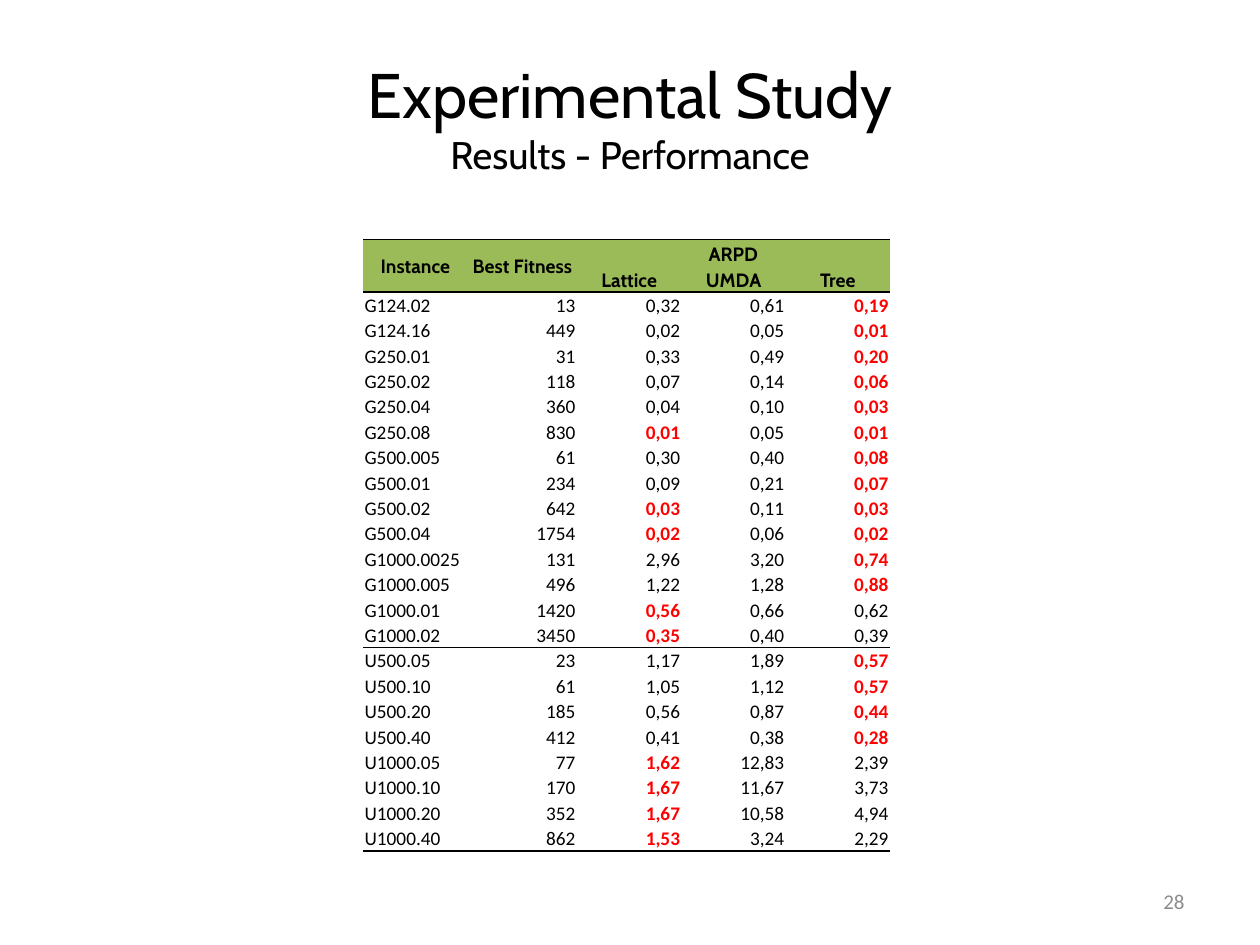
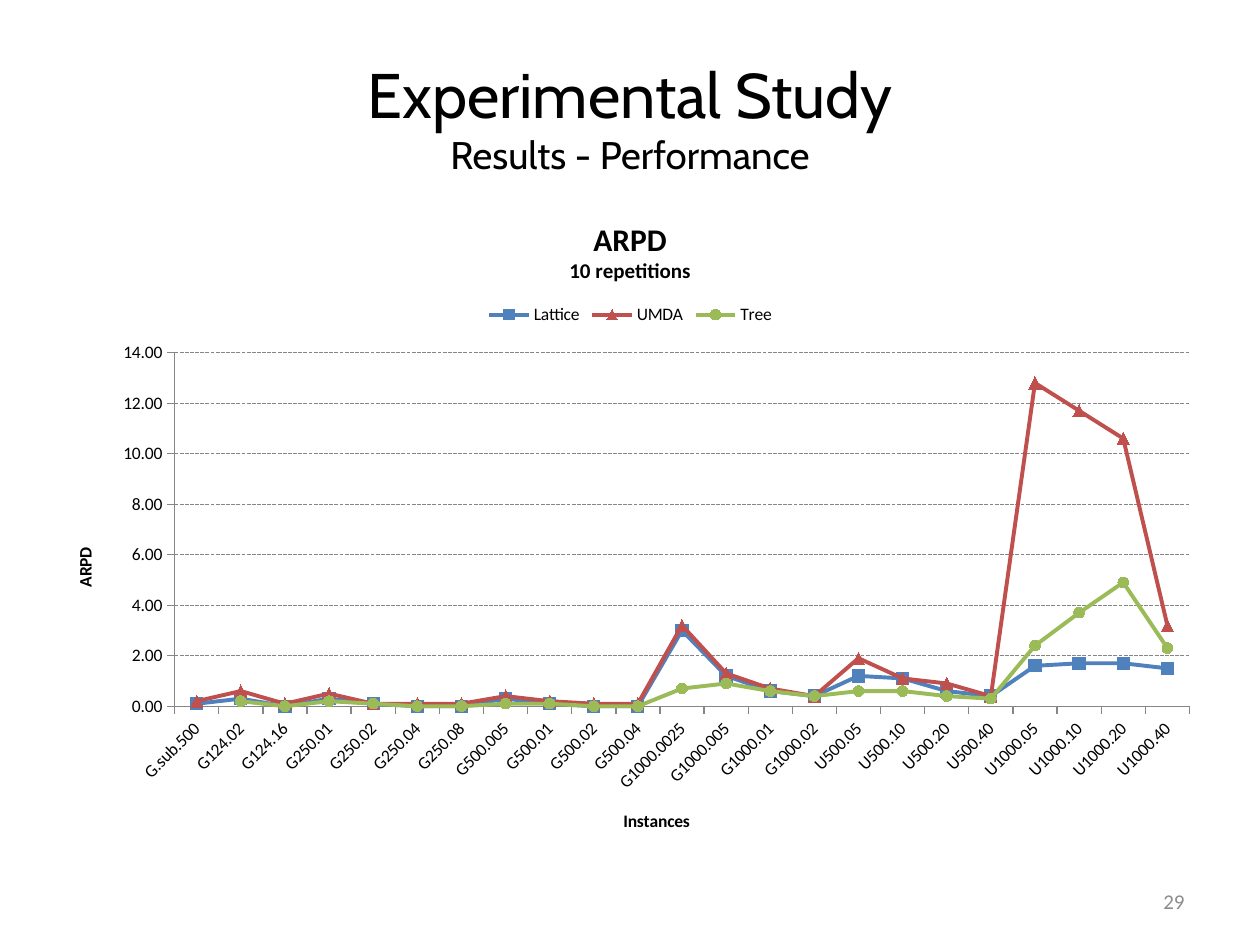
from pptx import Presentation
from pptx import util as u
from pptx.chart.data import CategoryChartData
from pptx.dml.color import RGBColor
from pptx.enum import chart as ch
from pptx.enum import dml, text
from pptx.oxml import parse_xml
from pptx.oxml.ns import nsdecls, qn

BLACK = RGBColor(0x00, 0x00, 0x00)
RED = RGBColor(0xFF, 0x00, 0x00)
BLUE = RGBColor(0x4F, 0x81, 0xBD)
BRICK = RGBColor(0xC0, 0x50, 0x4D)
GREEN = RGBColor(0x9B, 0xBB, 0x59)
AXIS_GRAY = RGBColor(0x86, 0x86, 0x86)
NUMBER_GRAY = RGBColor(0x8C, 0x8C, 0x8C)

HEADING_FONT, BODY_FONT = "Cabin", "Calibri"
PLAIN_TABLE_STYLE = "{2D5ABB26-0587-4C30-8999-92F81FD0307C}"
ALGORITHMS = ("Lattice", "UMDA", "Tree")
MARKERS = (
    (BLUE, ch.XL_MARKER_STYLE.SQUARE, 7),
    (BRICK, ch.XL_MARKER_STYLE.TRIANGLE, 7),
    (GREEN, ch.XL_MARKER_STYLE.CIRCLE, 6),
)

# Instance, best fitness, then the ARPD of each algorithm
RESULTS = (
    ("G124.02", 13, 0.32, 0.61, 0.19),
    ("G124.16", 449, 0.02, 0.05, 0.01),
    ("G250.01", 31, 0.33, 0.49, 0.20),
    ("G250.02", 118, 0.07, 0.14, 0.06),
    ("G250.04", 360, 0.04, 0.10, 0.03),
    ("G250.08", 830, 0.01, 0.05, 0.01),
    ("G500.005", 61, 0.30, 0.40, 0.08),
    ("G500.01", 234, 0.09, 0.21, 0.07),
    ("G500.02", 642, 0.03, 0.11, 0.03),
    ("G500.04", 1754, 0.02, 0.06, 0.02),
    ("G1000.0025", 131, 2.96, 3.20, 0.74),
    ("G1000.005", 496, 1.22, 1.28, 0.88),
    ("G1000.01", 1420, 0.56, 0.66, 0.62),
    ("G1000.02", 3450, 0.35, 0.40, 0.39),
    ("U500.05", 23, 1.17, 1.89, 0.57),
    ("U500.10", 61, 1.05, 1.12, 0.57),
    ("U500.20", 185, 0.56, 0.87, 0.44),
    ("U500.40", 412, 0.41, 0.38, 0.28),
    ("U1000.05", 77, 1.62, 12.83, 2.39),
    ("U1000.10", 170, 1.67, 11.67, 3.73),
    ("U1000.20", 352, 1.67, 10.58, 4.94),
    ("U1000.40", 862, 1.53, 3.24, 2.29),
)
CHART_ONLY = ("G.sub.500", None, 0.1, 0.2, None)
HEADER_ROWS = 2
HEADER_HEIGHT, BODY_HEIGHT = 1.06, 11.28
CHART_WIDTH, CHART_HEIGHT = 23.5, 13.34


def set_all(target, **formats):
    for name, value in formats.items():
        setattr(target, name, value)


def set_font(font, size, color=BLACK, name=BODY_FONT, bold=False):
    set_all(font, size=u.Pt(size), name=name, bold=bold)
    font.color.rgb = color


def add_text(slide, box, lines, align, color=BLACK, name=BODY_FONT):
    """Put (wording, size) lines into one paragraph, centred vertically."""
    frame = slide.shapes.add_textbox(*map(u.Cm, box)).text_frame
    set_all(frame, word_wrap=True, vertical_anchor=text.MSO_ANCHOR.MIDDLE)
    paragraph = frame.paragraphs[0]
    paragraph.alignment = align
    for index, (wording, size) in enumerate(lines):
        if index:
            paragraph.add_line_break()
        run = paragraph.add_run()
        run.text = wording
        set_font(run.font, size, color, name)


def add_results_slide(deck, number):
    slide = deck.slides.add_slide(deck.slide_layouts[6])
    add_text(slide, (1.27, 0.76, 22.86, 3.18),
             (("Experimental Study", 36), ("Results - Performance", 22)),
             text.PP_ALIGN.CENTER, name=HEADING_FONT)
    add_text(slide, (18.2, 17.66, 5.93, 1.01), ((str(number), 12),),
             text.PP_ALIGN.RIGHT, NUMBER_GRAY)
    return slide


def fill_cell(cell, wording, align, anchor=text.MSO_ANCHOR.BOTTOM, **font):
    set_all(cell, margin_left=u.Cm(0.03), margin_right=u.Cm(0.03),
            margin_top=u.Cm(0.03), margin_bottom=0, vertical_anchor=anchor)
    paragraph = cell.text_frame.paragraphs[0]
    paragraph.alignment = align
    run = paragraph.add_run()
    run.text = wording
    set_font(run.font, 11, **font)


def draw_rules(table, rules):
    """Draw lines above the rows that rules maps to a width in points."""
    for row in range(len(table.rows)):
        for cell in table.rows[row].cells:
            below = row + (cell.span_height if cell.is_merge_origin else 1)
            borders = cell._tc.get_or_add_tcPr()
            for index, (side, edge) in enumerate((("lnT", row), ("lnB", below))):
                paint = (f'<a:solidFill><a:srgbClr val="{BLACK}"/></a:solidFill>'
                         if edge in rules else "<a:noFill/>")
                borders.insert(index, parse_xml(
                    f'<a:{side} {nsdecls("a")} w="{u.Pt(rules.get(edge, 0))}">'
                    f'{paint}</a:{side}>'))


def add_header(table):
    for row in range(HEADER_ROWS):
        for cell in table.rows[row].cells:
            cell.fill.solid()
            cell.fill.fore_color.rgb = GREEN
    table.cell(0, 0).merge(table.cell(1, 0))
    table.cell(0, 1).merge(table.cell(1, 1))
    table.cell(0, 2).merge(table.cell(0, 4))
    middle, bottom = text.MSO_ANCHOR.MIDDLE, text.MSO_ANCHOR.BOTTOM
    headings = [(0, 0, "Instance", middle), (0, 1, "Best Fitness", middle),
                (0, 2, "ARPD", bottom)]
    headings += [(1, column, name, bottom)
                 for column, name in enumerate(ALGORITHMS, 2)]
    for row, column, wording, anchor in headings:
        fill_cell(table.cell(row, column), wording, text.PP_ALIGN.CENTER,
                  anchor, name=HEADING_FONT, bold=True)


def add_result_row(table, row, result):
    """Write one instance; its lowest deviations stand out in red."""
    instance, fitness, *deviations = result
    fill_cell(table.cell(row, 0), instance, text.PP_ALIGN.LEFT)
    fill_cell(table.cell(row, 1), str(fitness), text.PP_ALIGN.RIGHT)
    for column, deviation in enumerate(deviations, 2):
        best = deviation == min(deviations)
        fill_cell(table.cell(row, column), f"{deviation:.2f}".replace(".", ","),
                  text.PP_ALIGN.RIGHT, color=RED if best else BLACK, bold=best)


def add_results_table(slide):
    row_count = HEADER_ROWS + len(RESULTS)
    frame = slide.shapes.add_table(
        row_count, 5,
        *map(u.Cm, (7.32, 4.83, 10.62, HEADER_HEIGHT + BODY_HEIGHT)))
    table = frame.table
    table._tbl.tblPr.find(qn("a:tableStyleId")).text = PLAIN_TABLE_STYLE
    set_all(table, first_row=False, horz_banding=False)
    for column, width in zip(table.columns, (2.11, 2.2, 2.11, 2.1, 2.1)):
        column.width = u.Cm(width)
    for index, row in enumerate(table.rows):
        row.height = u.Cm(HEADER_HEIGHT / HEADER_ROWS if index < HEADER_ROWS
                          else BODY_HEIGHT / len(RESULTS))
    add_header(table)
    for row, result in enumerate(RESULTS, HEADER_ROWS):
        add_result_row(table, row, result)
    first_u = HEADER_ROWS + [result[0][0] for result in RESULTS].index("U")
    draw_rules(table, {0: 1, HEADER_ROWS: 1, first_u: 0.5, row_count: 1})


def place(element, index, x, y, width=None, height=None):
    """Fix a chart part at centimetres from the chart's top left corner."""
    for old in element.findall(qn("c:layout")):
        element.remove(old)
    target = '<c:layoutTarget val="inner"/>' if element.tag == qn("c:plotArea") else ""
    modes = '<c:xMode val="edge"/><c:yMode val="edge"/>'
    sizes = "".join(f'<c:{name} val="{value / whole}"/>' for name, value, whole in
                    (("x", x, CHART_WIDTH), ("y", y, CHART_HEIGHT),
                     ("w", width, CHART_WIDTH), ("h", height, CHART_HEIGHT))
                    if value is not None)
    element.insert(index, parse_xml(
        f'<c:layout {nsdecls("c")}><c:manualLayout>{target}{modes}{sizes}'
        '</c:manualLayout></c:layout>'))


def add_chart_title(title, lines, x, y):
    """Write bold (wording, size) lines as the title of a chart or an axis."""
    frame = title.text_frame
    for index, (wording, size) in enumerate(lines):
        paragraph = frame.add_paragraph() if index else frame.paragraphs[0]
        run = paragraph.add_run()
        run.text = wording
        set_font(run.font, size, bold=True)
    place(title._element, 1, x, y)


def format_line(line, width, color=AXIS_GRAY):
    line.width = u.Pt(width)
    line.color.rgb = color


def format_axes(chart):
    instances, deviation = chart.category_axis, chart.value_axis
    for axis, wording, x, y in ((instances, "Instances", 11.53, 12.31),
                                (deviation, "ARPD", 0.45, 7.03)):
        set_all(axis, major_tick_mark=ch.XL_TICK_MARK.OUTSIDE,
                minor_tick_mark=ch.XL_TICK_MARK.NONE)
        set_font(axis.tick_labels.font, 10)
        format_line(axis.format.line, 0.75)
        add_chart_title(axis.axis_title, ((wording, 10),), x, y)
    instances.tick_labels._element.find(qn("c:txPr")).find(
        qn("a:bodyPr")).set("rot", "-2700000")
    set_all(deviation, minimum_scale=0, maximum_scale=14, major_unit=2)
    set_all(deviation.tick_labels, number_format="0.00",
            number_format_is_linked=False)
    gridline = deviation.major_gridlines.format.line
    format_line(gridline, 0.75)
    gridline.dash_style = dml.MSO_LINE.SQUARE_DOT


def to_tenth(value):
    """Round half up to one decimal, keeping gaps."""
    return None if value is None else int(value * 10 + 0.5) / 10


def add_deviation_chart(slide):
    instances = (CHART_ONLY, *RESULTS)
    data = CategoryChartData(number_format="0.00")
    data.categories = [result[0] for result in instances]
    for column, algorithm in enumerate(ALGORITHMS, 2):
        data.add_series(algorithm, [to_tenth(result[column]) for result in instances])
    chart = slide.shapes.add_chart(
        ch.XL_CHART_TYPE.LINE_MARKERS,
        *map(u.Cm, (0.97, 3.94, CHART_WIDTH, CHART_HEIGHT)), data).chart
    set_font(chart.font, 10)
    add_chart_title(chart.chart_title, (("ARPD", 18), ("10 repetitions", 12)),
                    10.43, 0.39)
    chart.has_legend = True
    set_all(chart.legend, position=ch.XL_LEGEND_POSITION.TOP,
            include_in_layout=False)
    set_font(chart.legend.font, 10)
    place(chart.legend._element, 1, 8.75, 2.14, 5.98, 0.53)
    format_axes(chart)
    plot = chart.plots[0]
    plot.vary_by_categories = False
    for series, (color, style, size) in zip(plot.series, MARKERS):
        series.smooth = False
        format_line(series.format.line, 2.25, color)
        set_all(series.marker, style=style, size=size)
        series.marker.format.fill.solid()
        series.marker.format.fill.fore_color.rgb = color
        format_line(series.marker.format.line, 0.75, color)
    place(chart._chartSpace.chart.plotArea, 0, 2.55, 3.17, 20.46, 7.13)


def main():
    deck = Presentation()
    set_all(deck, slide_width=u.Cm(25.4), slide_height=u.Cm(19.05))
    for number, add_results in enumerate((add_results_table, add_deviation_chart), 28):
        add_results(add_results_slide(deck, number))
    deck.save("out.pptx")


if __name__ == "__main__":
    main()
